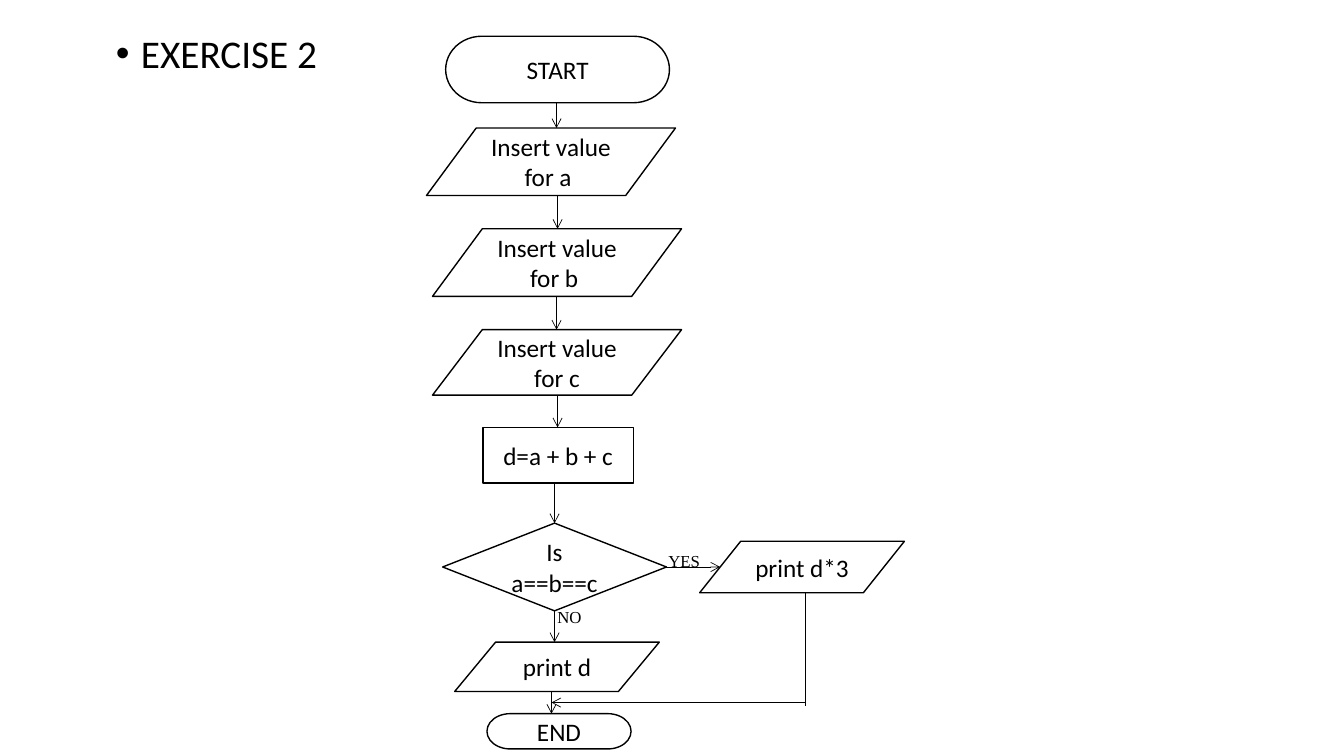
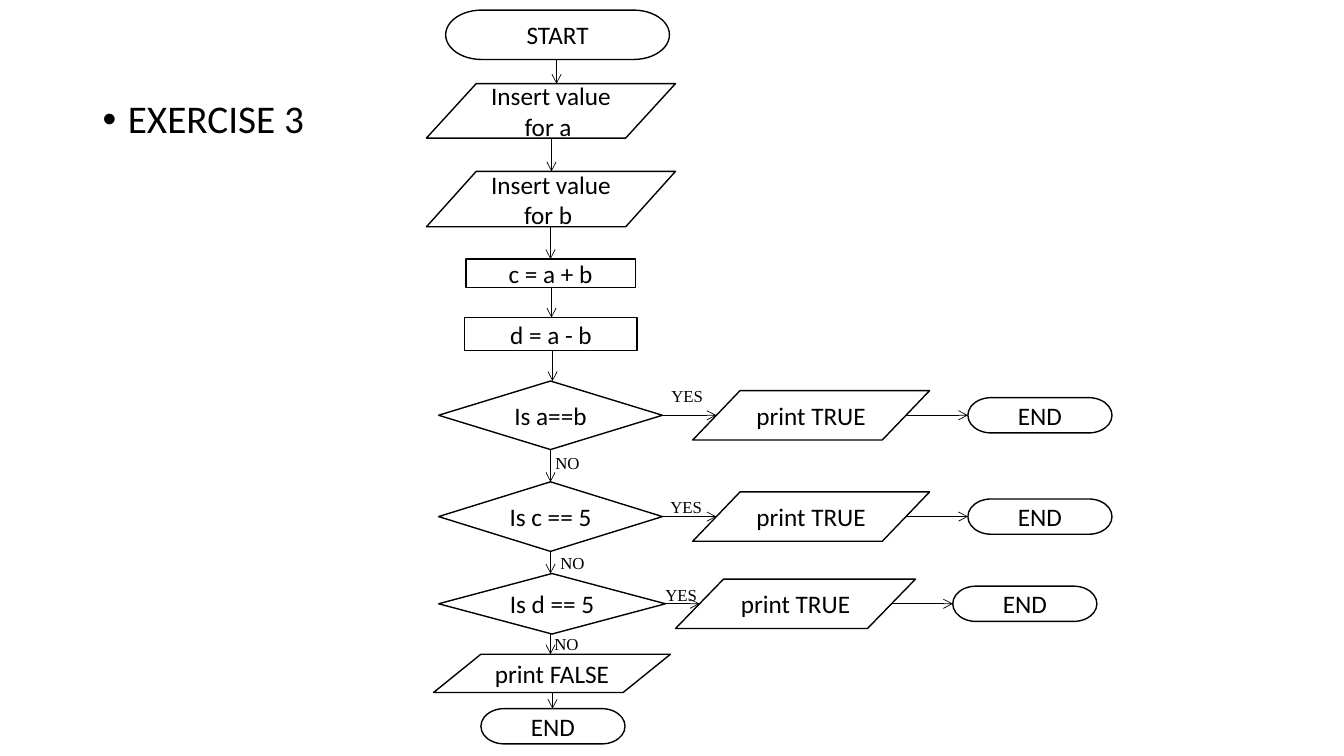
from lxml import etree
from pptx import Presentation
from pptx.dml.color import RGBColor
from pptx.enum.shapes import MSO_CONNECTOR, MSO_SHAPE
from pptx.enum.text import MSO_ANCHOR, MSO_AUTO_SIZE, PP_ALIGN
from pptx.oxml.ns import qn
from pptx.util import Inches, Pt

COLORS = {"ink": "000000"}
BODY, TAG = "Calibri", "Times New Roman"
CENTER, LEFT = PP_ALIGN.CENTER, PP_ALIGN.LEFT
MIDDLE = MSO_ANCHOR.MIDDLE
GROW = MSO_AUTO_SIZE.SHAPE_TO_FIT_TEXT
STRAIGHT = MSO_CONNECTOR.STRAIGHT
KINDS = {
    "term": MSO_SHAPE.FLOWCHART_TERMINATOR,
    "data": MSO_SHAPE.FLOWCHART_DATA,
    "step": MSO_SHAPE.FLOWCHART_PROCESS,
    "test": MSO_SHAPE.FLOWCHART_DECISION,
}

# The slide is a grid of 13.33 columns by 7.5 rows.
WIDE, HIGH = Inches(13.33), Inches(7.5)
COL, ROW = WIDE / 13.33, HIGH / 7.5
SLANT = 0.1  # share of a data box's width from its corner to mid-edge
END_W, END_H = 1.43, 0.35

# Chain rows: kind, text, left, top, width, height, x of the arrow below.
SUM_CHAIN = [
    ("term", "START", 4.42, 0.36, 2.22, 0.66, 5.52),
    ("data", "Insert value for a ", 4.23, 1.27, 2.47, 0.67, 5.53),
    ("data", "Insert value for b ", 4.29, 2.27, 2.47, 0.67, 5.52),
    ("data", "Insert value for c", 4.29, 3.27, 2.47, 0.65, 5.53),
    ("step", "d=a + b + c", 4.79, 4.24, 1.49, 0.55, 5.5),
    ("test", "Is a==b==c", 4.39, 5.19, 2.22, 0.87, 5.5),
    ("data", "print d", 4.51, 6.37, 2.03, 0.49, 5.47),
    ("term", "END", 4.83, 7.08, END_W, END_H, None),
]
TRUE_CHAIN = [
    ("term", "START", 4.42, 0.1, 2.22, 0.49, 5.52),
    ("data", "Insert value for a ", 4.23, 0.83, 2.47, 0.54, 5.47),
    ("data", "Insert value for b ", 4.23, 1.7, 2.47, 0.55, 5.46),
    ("step", "c = a + b", 4.62, 2.57, 1.68, 0.28, 5.47),
    ("step", "d = a - b", 4.61, 3.15, 1.71, 0.33, 5.48),
    ("test", "Is a==b", 4.35, 3.78, 2.22, 0.68, 5.46),
    ("test", "Is c == 5", 4.35, 4.78, 2.22, 0.69, 5.46),
    ("test", "Is d == 5", 4.35, 5.69, 2.25, 0.6, 5.46),
    ("data", "print FALSE", 4.3, 6.49, 2.35, 0.38, 5.48),
    ("term", "END", 4.77, 7.03, END_W, END_H, None),
]
# Branch rows: test, text, left, width, height, left of END.
SUM_YES = [("Is a==b==c", "print d*3", 6.94, 2.03, 0.51, None)]
TRUE_YES = [
    ("Is a==b", "print TRUE", 6.87, 2.35, 0.49, 9.6),
    ("Is c == 5", "print TRUE", 6.87, 2.35, 0.49, 9.6),
    ("Is d == 5", "print TRUE", 6.7, 2.38, 0.49, 9.45),
]
SUM_TAGS = [("NO", 5.43, 5.97), ("YES", 6.53, 5.41)]
TRUE_TAGS = [
    ("NO", 5.41, 4.44), ("NO", 5.46, 5.43), ("NO", 5.4, 6.24),
    ("YES", 6.56, 3.78), ("YES", 6.55, 4.88), ("YES", 6.5, 5.75),
]


def ink():
    """Return the colour of all text and lines."""
    return RGBColor.from_string(COLORS["ink"])


def place(left, top, width, height):
    """Turn columns and rows into slide lengths."""
    return (round(left * COL), round(top * ROW),
            round(width * COL), round(height * ROW))


def write(shape, text, size, face, align):
    """Put one styled paragraph in a shape and return it."""
    frame = shape.text_frame
    frame.word_wrap = True
    para = frame.paragraphs[0]
    para.text = text
    para.alignment = align
    para.font.size, para.font.name = Pt(size), face
    para.font.color.rgb = ink()
    return para


def add_title(slide, text, left, top, height):
    """Add the bulleted heading."""
    box = slide.shapes.add_textbox(*place(left, top, 11.5, height))
    para = write(box, text, 28, BODY, LEFT)
    para.line_spacing, para.space_before = 0.9, Pt(10)
    props = para._p.get_or_add_pPr()
    props.set("marL", str(Inches(0.25)))
    props.set("indent", str(-Inches(0.25)))
    etree.SubElement(props, qn("a:buFont")).set("typeface", "Arial")
    etree.SubElement(props, qn("a:buChar")).set("char", "\u2022")


def add_node(slide, kind, text, left, top, width, height):
    """Add one outlined flowchart symbol."""
    node = slide.shapes.add_shape(KINDS[kind], *place(left, top, width, height))
    node.shadow.inherit = False
    node.fill.background()
    node.line.color.rgb, node.line.width = ink(), Pt(1)
    node.text_frame.vertical_anchor = MIDDLE
    write(node, text, 18, BODY, CENTER)


def add_line(slide, x1, y1, x2, y2, head=True):
    """Add a thin line, with an arrowhead at its end if wanted."""
    line = slide.shapes.add_connector(STRAIGHT, *place(x1, y1, x2, y2))
    line.line.color.rgb, line.line.width = ink(), Pt(0.5)
    if head:
        outline = line.line._get_or_add_ln()
        etree.SubElement(outline, qn("a:tailEnd")).set("type", "arrow")
    etree.SubElement(line._element.spPr, qn("a:effectLst"))


def add_tag(slide, text, left, top):
    """Add a YES or NO label."""
    box = slide.shapes.add_textbox(*place(left, top, 0.7, 0.3))
    write(box, text, 12, TAG, LEFT)
    box.text_frame.auto_size = GROW


def add_chain(slide, rows):
    """Add the main column of symbols, each joined to the next."""
    for row in rows:
        add_node(slide, *row[:-1])
    for row, after in zip(rows, rows[1:]):
        add_line(slide, row[-1], row[3] + row[5], row[-1], after[3])


def add_yes(slide, chain, rows):
    """Add the symbols to the right of each test, level with its middle."""
    tests = {row[1]: row for row in chain if row[0] == "test"}
    for test, text, left, width, height, end in rows:
        _, _, x, y, wide, high, _ = tests[test]
        mid = y + high / 2
        edge = SLANT * width
        add_node(slide, "data", text, left, mid - height / 2, width, height)
        add_line(slide, x + wide, mid, left + edge, mid)
        if end:
            add_node(slide, "term", "END", end, mid - END_H / 2, END_W, END_H)
            add_line(slide, left + width - edge, mid, end, mid)


def add_flow(deck, title, chain, yes, tags):
    """Add a slide with a heading and its whole flowchart."""
    slide = deck.slides.add_slide(deck.slide_layouts[6])
    add_title(slide, *title)
    add_chain(slide, chain)
    add_yes(slide, chain, yes)
    for tag in tags:
        add_tag(slide, *tag)
    return slide


def main():
    """Build and save the deck."""
    deck = Presentation()
    deck.slide_width, deck.slide_height = WIDE, HIGH
    slide = add_flow(deck, ("EXERCISE 2", 1.05, 0.29, 5.43),
                     SUM_CHAIN, SUM_YES, SUM_TAGS)
    add_line(slide, 7.99, 5.88, 7.99, 7, head=False)
    add_line(slide, 7.99, 6.97, 5.47, 6.97)
    add_flow(deck, ("EXERCISE 3", 0.92, 0.94, 5.37),
             TRUE_CHAIN, TRUE_YES, TRUE_TAGS)
    deck.save("out.pptx")


main()
